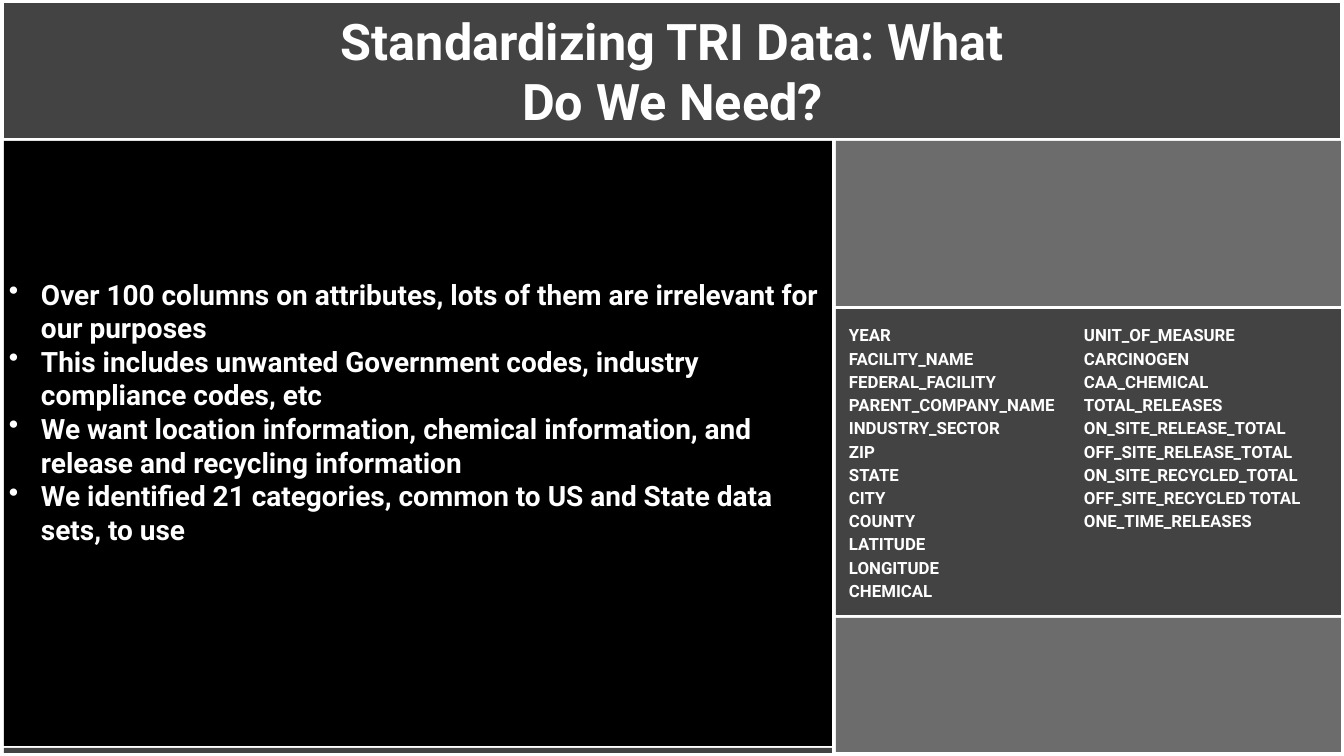
import pptx
import pptx.util
import pptx.dml.color
import pptx.enum.shapes
import pptx.enum.text
import pptx.oxml
import pptx.oxml.ns

SCALE = 914400 / 134.4
FONT = "Roboto"
COLORS = {"dark": "434343", "black": "000000", "gray": "6C6C6C", "white": "FFFFFF"}
ALIGN = pptx.enum.text.PP_ALIGN
ANCHOR = pptx.enum.text.MSO_ANCHOR

TITLE = "Standardizing TRI Data: What Do We Need?"
POINTS = [
    "Over 100 columns on attributes, lots of them are irrelevant for our purposes",
    "This includes unwanted Government codes, industry compliance codes, etc",
    "We want location information, chemical information, and release and recycling information",
    "We identified 21 categories, common to US and State data sets, to use",
]
FIELDS = [
    ["YEAR", "FACILITY_NAME", "FEDERAL_FACILITY", "PARENT_COMPANY_NAME",
     "INDUSTRY_SECTOR", "ZIP", "STATE", "CITY", "COUNTY", "LATITUDE",
     "LONGITUDE", "CHEMICAL"],
    ["UNIT_OF_MEASURE", "CARCINOGEN", "CAA_CHEMICAL", "TOTAL_RELEASES",
     "ON_SITE_RELEASE_TOTAL", "OFF_SITE_RELEASE_TOTAL",
     "ON_SITE_RECYCLED_TOTAL", "OFF_SITE_RECYCLED TOTAL", "ONE_TIME_RELEASES"],
]


def px(num):
    return pptx.util.Emu(round(num * SCALE))


def color(name):
    return pptx.dml.color.RGBColor.from_string(COLORS[name])


def assign(item, values):
    for key, value in values.items():
        setattr(item, key, value)


def panel(slide, box, fill):
    shape = slide.shapes.add_shape(
        pptx.enum.shapes.MSO_SHAPE.RECTANGLE, *map(px, box))
    shape.shadow.inherit = False
    shape.fill.solid()
    shape.fill.fore_color.rgb = color(fill)
    shape.line.fill.background()
    return shape


def bullet(para, hang):
    props = para._p.get_or_add_pPr()
    props.set("marL", str(px(hang)))
    props.set("indent", str(-px(hang)))
    tint = pptx.oxml.parse_xml(
        f'<a:buClr {pptx.oxml.ns.nsdecls("a")}>'
        f'<a:srgbClr val="{COLORS["white"]}"/></a:buClr>')
    mark = pptx.oxml.parse_xml(
        f'<a:buChar {pptx.oxml.ns.nsdecls("a")} char="•"/>')
    props.extend([tint, mark])


def write(shape, lines, size, inset, anchor, style, hang=0, lift=0):
    frame = shape.text_frame
    assign(frame, {
        "word_wrap": True, "vertical_anchor": anchor,
        "margin_left": px(inset), "margin_right": px(inset),
        "margin_top": px(inset), "margin_bottom": px(inset + lift),
    })
    for num, line in enumerate(lines):
        para = frame.add_paragraph() if num else frame.paragraphs[0]
        assign(para, style)
        if hang:
            bullet(para, hang)
        run = para.add_run()
        run.text = line
        assign(run.font, {"name": FONT, "size": pptx.util.Pt(size), "bold": True})
        run.font.color.rgb = color("white")


def label(slide, box, *args):
    write(slide.shapes.add_textbox(*map(px, box)), *args)


def main():
    deck = pptx.Presentation()
    assign(deck, {"slide_width": px(1344), "slide_height": px(756)})
    slide = deck.slides.add_slide(deck.slide_layouts[6])

    panel(slide, (4, 748, 828, 5), "dark")
    body = panel(slide, (4, 141, 828, 605), "black")
    write(body, POINTS, 15, 5, ANCHOR.MIDDLE, {"alignment": ALIGN.LEFT},
          hang=32, lift=64)

    panel(slide, (4, 3, 1336, 135), "dark")
    label(slide, (327, 39, 691, 63), [TITLE], 27, 5, ANCHOR.MIDDLE,
          {"alignment": ALIGN.CENTER})

    for top, high, fill in ((141, 165, "gray"), (309, 306, "dark"), (618, 134, "gray")):
        panel(slide, (836, top, 505, high), fill)
    for left, names in zip((836, 1071), FIELDS):
        label(slide, (left, 309, 269, 306), names, 9, 13, ANCHOR.TOP,
              {"alignment": ALIGN.LEFT, "line_spacing": 1.15})

    deck.save("out.pptx")


if __name__ == "__main__":
    main()
